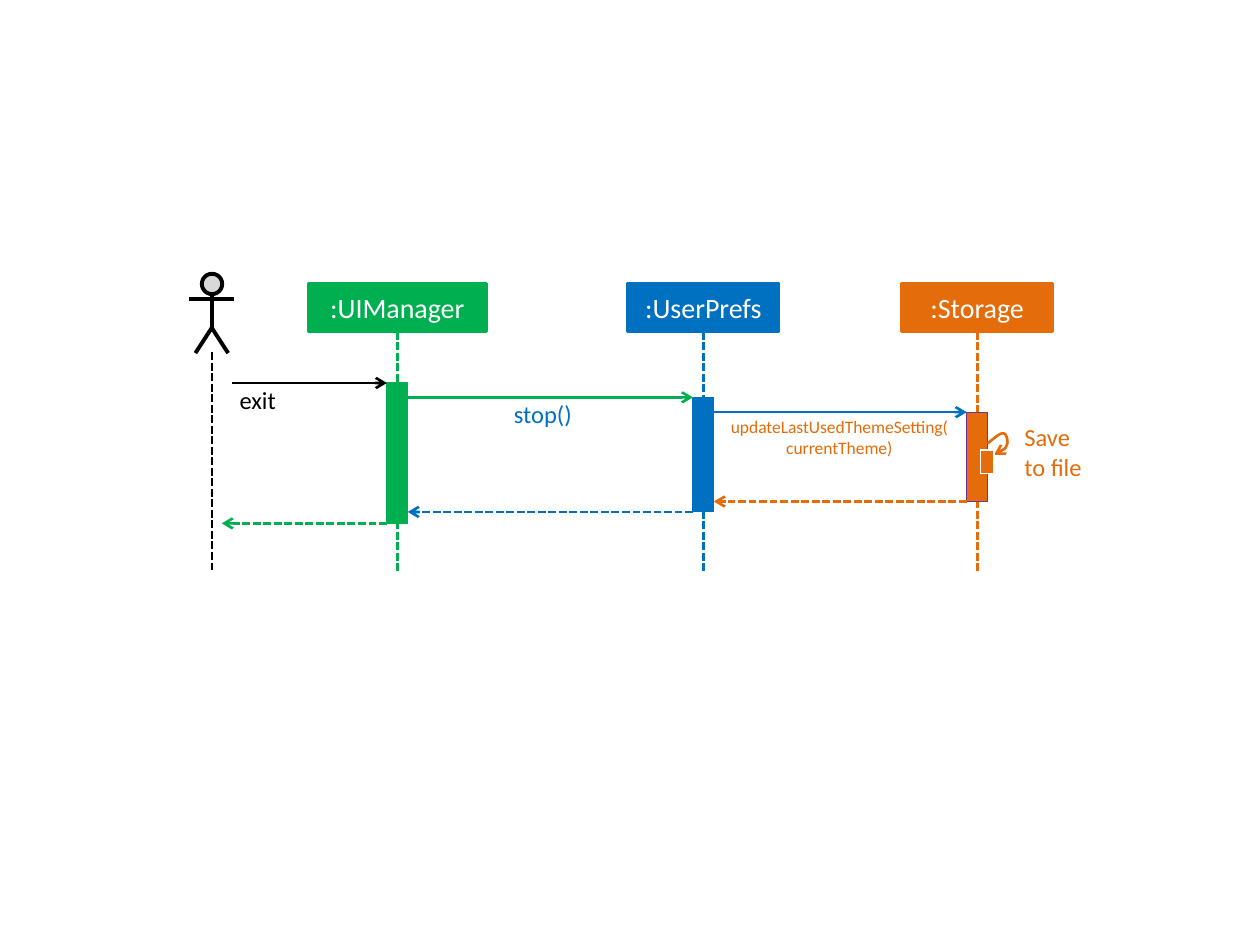
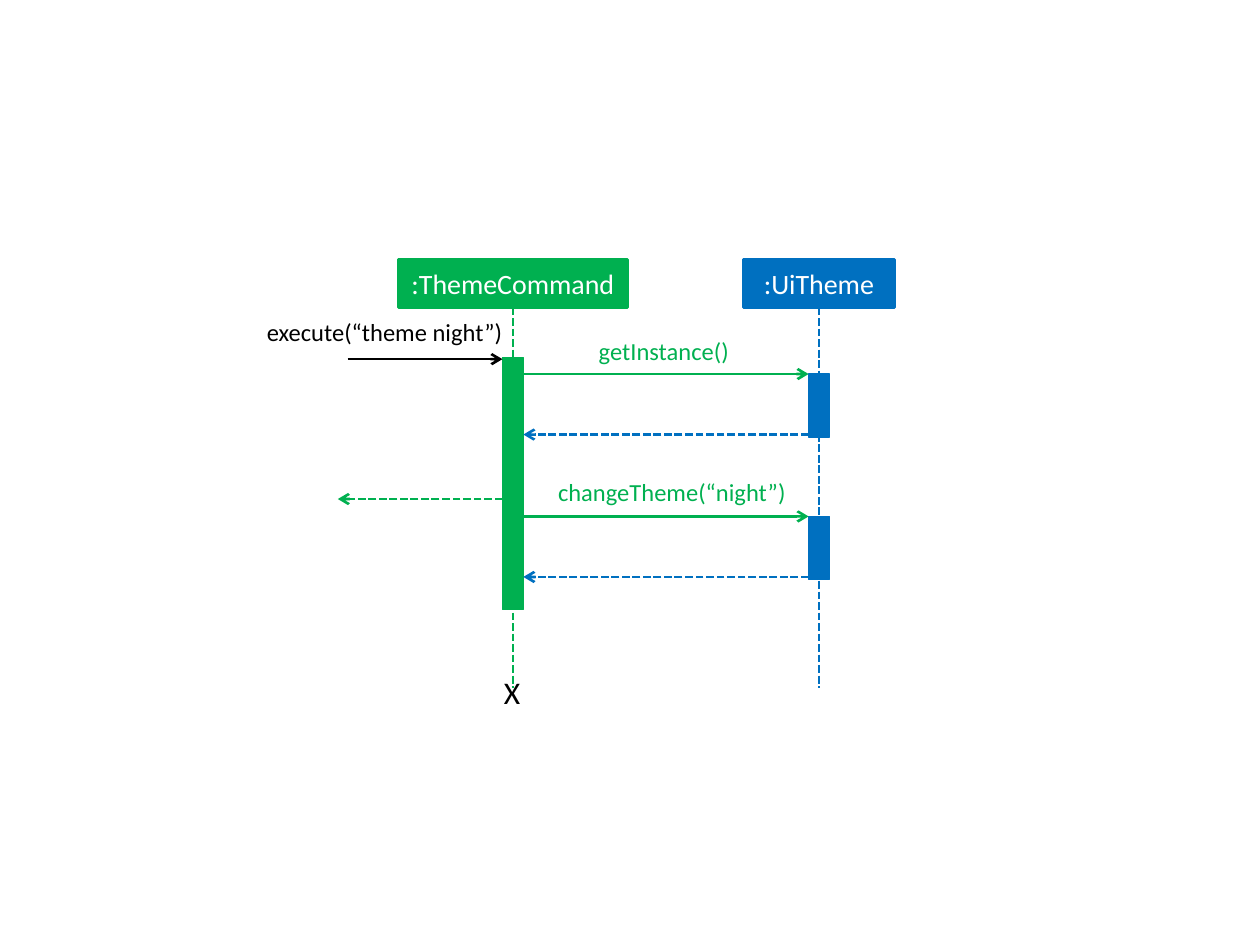
from dataclasses import dataclass

from lxml.etree import SubElement as Sub
from pptx import Presentation
from pptx.dml.color import RGBColor as Rgb
from pptx.enum.dml import MSO_LINE as Dash
from pptx.enum.shapes import MSO_CONNECTOR as Link, MSO_SHAPE as Kind
from pptx.enum.text import MSO_ANCHOR as Anchor, PP_ALIGN as Align
from pptx.oxml.ns import qn
from pptx.util import Cm, Pt


@dataclass(frozen=True)
class Theme:
    """Colours, type sizes and line widths of the diagrams."""
    green: str = "00B050"
    blue: str = "0070C0"
    orange: str = "E46C0A"
    purple: str = "7030A0"
    black: str = "000000"
    grey: str = "D9D9D9"
    white: str = "FFFFFF"
    font: str = "Calibri"
    small: float = 10
    label: float = 14
    head: float = 16
    end: float = 18
    thin: float = 0.75
    line: float = 1.5
    thick: float = 2.25
    bar: float = 0.42
    tall: float = 0.97


T = Theme()


def pen(line, color, width):
    """Set the colour and width of a line."""
    line.color.rgb = Rgb.from_string(color)
    line.width = Pt(width)


def tip(shape, end):
    """Put an open arrowhead on one end of a shape's line."""
    Sub(shape.line._get_or_add_ln(), qn(f"a:{end}End"), type="arrow")


def block(shapes, kind, x, y, w, h, fill, edge=None, width=T.thin):
    """Add a filled shape without shadow."""
    shape = shapes.add_shape(kind, Cm(x), Cm(y), Cm(w), Cm(h))
    shape.shadow.inherit = False
    shape.fill.solid()
    shape.fill.fore_color.rgb = Rgb.from_string(fill)
    pen(shape.line, edge or fill, width)
    return shape


def rule(shapes, x1, y1, x2, y2, color, width=T.line, dash=False, arrow=False):
    """Add a straight line, dashed or with an arrowhead if asked."""
    line = shapes.add_connector(Link.STRAIGHT, Cm(x1), Cm(y1), Cm(x2), Cm(y2))
    pen(line.line, color, width)
    if dash:
        line.line.dash_style = Dash.SQUARE_DOT
    if arrow:
        tip(line, "tail")
    Sub(line._element.spPr, qn("a:effectLst"))
    return line


def trace(shapes, points, color, width):
    """Add an open outline through points given in centimetres."""
    first, *rest = [(Cm(x), Cm(y)) for x, y in points]
    form = shapes.build_freeform(*first)
    form.add_line_segments(rest, close=False)
    shape = form.convert_to_shape()
    shape.shadow.inherit = False
    shape.fill.background()
    pen(shape.line, color, width)
    return shape


def write(frame, lines, color, size, align=Align.LEFT):
    """Fill a text frame with one paragraph for each line."""
    for i, text in enumerate(lines):
        para = frame.add_paragraph() if i else frame.paragraphs[0]
        para.alignment = align
        for j, part in enumerate(text.split("\v")):
            if j:
                para.add_line_break()
            run = para.add_run()
            run.text = part
            run.font.name = T.font
            run.font.size = Pt(size)
            run.font.color.rgb = Rgb.from_string(color)


def label(shapes, x, y, w, lines, color, size=T.label, align=Align.LEFT):
    """Add a text box without margins."""
    box = shapes.add_textbox(Cm(x), Cm(y), Cm(w), Cm(0.6))
    frame = box.text_frame
    frame.word_wrap = True
    frame.margin_left = frame.margin_right = 0
    frame.margin_top = frame.margin_bottom = 0
    write(frame, lines, color, size, align)


def life(shapes, x, y, w, name, color, end, bars, edge=None):
    """Draw a header centred on x, its lifeline and its activation bars."""
    head = block(shapes, Kind.RECTANGLE, x - w / 2, y, w, T.tall, color, width=T.line)
    head.text_frame.word_wrap = False
    head.text_frame.vertical_anchor = Anchor.MIDDLE
    write(head.text_frame, [name], T.white, T.head, Align.CENTER)
    line = rule(shapes, x, y + T.tall, x, y + end, color, dash=True)
    line.begin_connect(head, 2)
    for top, low in bars:
        block(shapes, Kind.RECTANGLE, x - T.bar / 2, y + top, T.bar, low - top, color, edge)


def actor(slide, x, y, end):
    """Draw a stick figure centred on x with its lifeline."""
    parts = slide.shapes.add_group_shape().shapes
    block(parts, Kind.FLOWCHART_CONNECTOR, x - 0.2, y, 0.41, 0.41, T.grey, T.black, T.thick)
    rule(parts, x, y + 0.41, x, y + 1.09, T.black, T.thick)
    legs = [(x - 0.33, y + 1.6), (x, y + 1.09), (x + 0.33, y + 1.6)]
    trace(parts, legs, T.black, T.thick)
    rule(parts, x - 0.45, y + 0.51, x + 0.45, y + 0.51, T.black, T.thick)
    rule(slide.shapes, x, y + 1.58, x, y + end, T.black, dash=True)


def bend(a, b, c, d, steps=8):
    """Return points along a cubic curve, without its start."""
    for t in (i / steps for i in range(1, steps + 1)):
        s = 1 - t
        yield tuple(s**3 * p + 3 * s * s * t * q + 3 * s * t * t * r + t**3 * u
                    for p, q, r, u in zip(a, b, c, d))


def loop(slide, x, y):
    """Draw a self call: a small bar and a curved arrow back to it."""
    parts = slide.shapes.add_group_shape().shapes
    knots = [(0.28, 0.1), (0.38, 0.05), (0.51, 0), (0.53, -0.08), (0.58, -0.15),
             (0.53, -0.33), (0.48, -0.33), (0.41, -0.36), (0.28, -0.23), (0.15, -0.13)]
    knots = [(x + dx, y + dy) for dx, dy in knots]
    points = knots[:1]
    for i in range(0, 9, 3):
        points += bend(*knots[i:i + 4])
    tip(trace(parts, points, T.orange, T.line), "head")
    block(parts, Kind.RECTANGLE, x, y, 0.28, 0.48, T.orange, T.white)


def calls(shapes, x, y, rows):
    """Draw the message arrows, each from one x to another at its height."""
    for start, stop, drop, color, dash in rows:
        rule(shapes, x + start, y + drop, x + stop, y + drop, color, dash=dash, arrow=True)


def leave(slide, x, y):
    """Draw the exit sequence with its top left corner at x, y."""
    shapes, half = slide.shapes, T.bar / 2
    ui, prefs, store = 4.2, 10.37, 15.89
    spans = (2, 4.83), (2.29, 4.6), (2.59, 4.39)
    actor(slide, x + 0.46, y - 0.2, 6.02)
    life(shapes, x + ui, y, 3.6, ":UIManager", T.green, 5.8, spans[:1])
    life(shapes, x + prefs, y, 3.05, ":UserPrefs", T.blue, 5.8, spans[1:2])
    life(shapes, x + store, y, 3.05, ":Storage", T.orange, 5.8, spans[2:], T.purple)
    hops = [(0.86, 0.66, ui, T.black, T.green),
            (ui + half, ui + half, prefs, T.green, T.blue),
            (prefs + half, prefs + half, store, T.blue, T.orange)]
    for (start, back, mid, ask, reply), (top, low) in zip(hops, spans):
        calls(shapes, x, y, [(start, mid - half, top, ask, False),
                             (mid - half, back, low, reply, True)])
    label(shapes, x + 1.02, y + 2.05, 2.4, ["exit"], T.black)
    label(shapes, x + 6.55, y + 2.33, 2.13, ["stop()"], T.blue)
    label(shapes, x + 10.62, y + 2.66, 4.98, ["updateLastUsedThemeSetting(", "currentTheme)"],
          T.orange, T.small, Align.CENTER)
    loop(slide, x + 15.95, y + 3.35)
    label(shapes, x + 16.84, y + 2.79, 1.5, ["Save\vto file"], T.orange)


def switch(slide, x, y):
    """Draw the theme sequence with its top left corner at x, y."""
    shapes, half = slide.shapes, T.bar / 2
    cmd, ui = 4.96, 11.13
    left, right, far = cmd - half, cmd + half, ui - half
    life(shapes, x + cmd, y, 4.62, ":ThemeCommand", T.green, 8.64, [(1.98, 7.06)])
    life(shapes, x + ui, y, 3.05, ":UiTheme", T.blue, 8.64, [(2.31, 3.58), (5.18, 6.45)])
    calls(shapes, x, y, [(1.63, left, 2.01, T.black, False),
                         (right, far, 2.31, T.green, False),
                         (far, right, 3.53, T.blue, True),
                         (left, 1.43, 4.83, T.green, True),
                         (right, far, 5.18, T.green, False),
                         (far, right, 6.4, T.blue, True)])
    label(shapes, x, y + 1.17, 4.95, ["execute(“theme night”)"], T.black)
    label(shapes, x + 6.69, y + 1.55, 4.95, ["getInstance()"], T.green)
    label(shapes, x + 5.87, y + 4.39, 4.95, ["changeTheme(“night”)"], T.green)
    label(shapes, x + 4.78, y + 8.33, 0.5, ["X"], T.black, T.end)


def main():
    """Build both slides and save them."""
    deck = Presentation()
    deck.slide_width, deck.slide_height = Cm(25.4), Cm(19.05)
    for draw, x, y in ((leave, 3.81, 5.72), (switch, 5.38, 5.23)):
        draw(deck.slides.add_slide(deck.slide_layouts[6]), x, y)
    deck.save("out.pptx")


if __name__ == "__main__":
    main()
